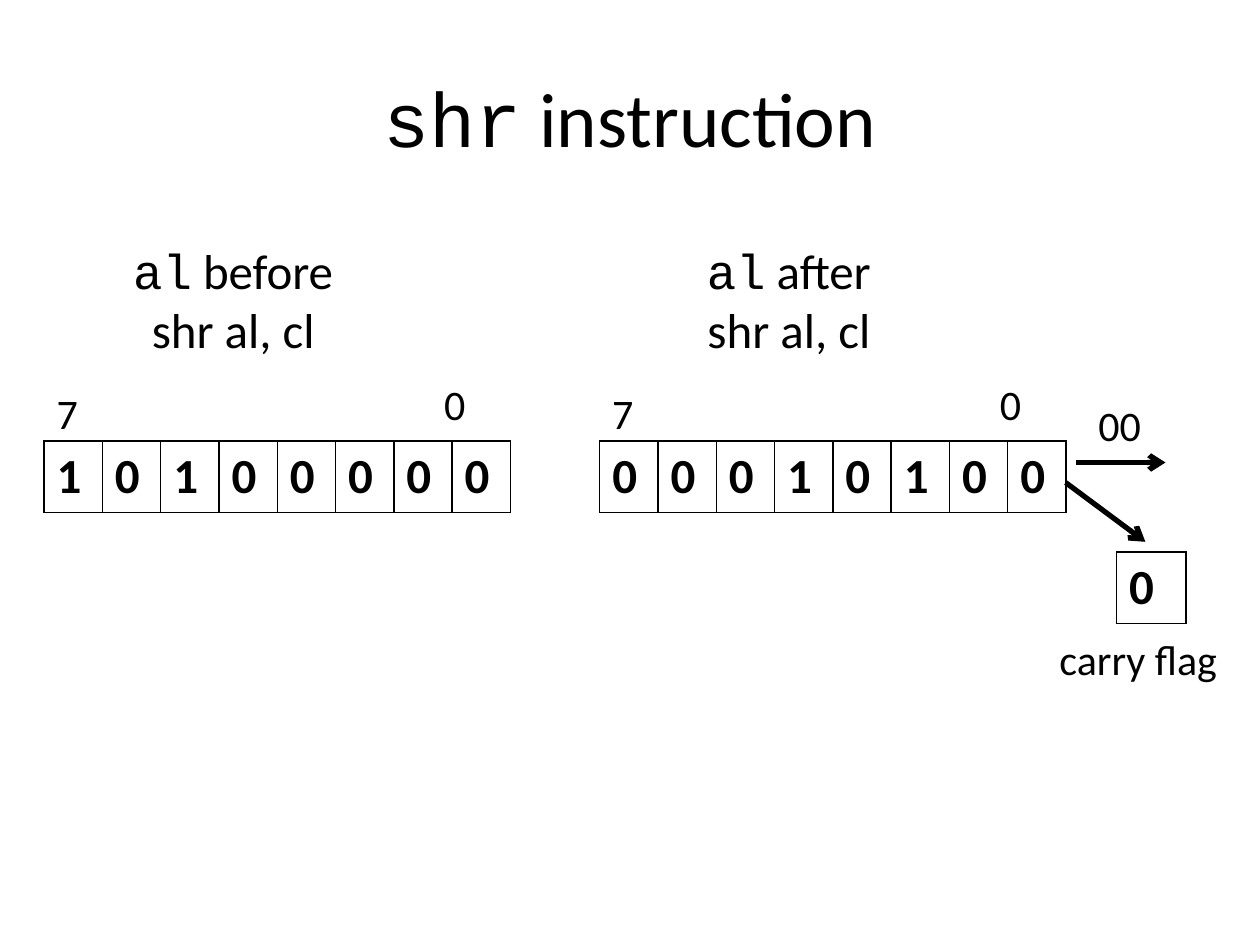
from lxml import etree
from pptx import Presentation
from pptx.dml.color import RGBColor
from pptx.enum.shapes import MSO_CONNECTOR
from pptx.enum.text import MSO_ANCHOR, PP_ALIGN
from pptx.oxml.ns import qn
from pptx.util import Pt

STRAIGHT = MSO_CONNECTOR.STRAIGHT
LEFT, CENTER = PP_ALIGN.LEFT, PP_ALIGN.CENTER
TOP, MIDDLE = MSO_ANCHOR.TOP, MSO_ANCHOR.MIDDLE

BLACK = "000000"
BODY_FONT, CODE_FONT = "Calibri", "Courier New"
BIT_WIDTH, BIT_HEIGHT = 33.33, 41
REGISTER_TOP = 252


def color(hex_string):
    return RGBColor.from_string(hex_string)


def add_run(paragraph, text, size=24, font=BODY_FONT, bold=False):
    run = paragraph.add_run()
    run.text = text
    run.font.size = Pt(size)
    run.font.name = font
    run.font.bold = bold
    run.font.color.rgb = color(BLACK)


def add_text(slide, left, top, width, height, *lines, size=24, align=LEFT, anchor=TOP):
    """Each line is a list of (text, font) pairs."""
    box = slide.shapes.add_textbox(Pt(left), Pt(top), Pt(width), Pt(height))
    frame = box.text_frame
    frame.word_wrap = True
    frame.vertical_anchor = anchor
    for index, line in enumerate(lines):
        paragraph = frame.add_paragraph() if index else frame.paragraphs[0]
        paragraph.alignment = align
        for text, font in line:
            add_run(paragraph, text, size=size, font=font)


def add_label(slide, left, top, text, width=57):
    add_text(slide, left, top, width, 36, [(text, BODY_FONT)])


def add_border(cell):
    properties = cell._tc.get_or_add_tcPr()
    for position, side in enumerate(("a:lnL", "a:lnR", "a:lnT", "a:lnB")):
        line = etree.Element(qn(side), w=str(Pt(1)))
        fill = etree.SubElement(line, qn("a:solidFill"))
        etree.SubElement(fill, qn("a:srgbClr"), val=BLACK)
        properties.insert(position, line)


def add_bits(slide, left, top, bits, bit_width=BIT_WIDTH):
    """Draw a row of bits as a one-row table."""
    frame = slide.shapes.add_table(
        1, len(bits), Pt(left), Pt(top), Pt(bit_width * len(bits)), Pt(BIT_HEIGHT))
    table = frame.table
    table.first_row = table.horz_banding = False
    for column, bit in enumerate(bits):
        table.columns[column].width = Pt(bit_width)
        cell = table.cell(0, column)
        cell.fill.background()
        add_border(cell)
        add_run(cell.text_frame.paragraphs[0], bit, size=28, bold=True)


def add_arrow(slide, x1, y1, x2, y2):
    connector = slide.shapes.add_connector(STRAIGHT, Pt(x1), Pt(y1), Pt(x2), Pt(y2))
    connector.line.color.rgb = color(BLACK)
    connector.line.width = Pt(3)
    etree.SubElement(connector.line._get_or_add_ln(), qn("a:tailEnd"), type="arrow")
    etree.SubElement(connector._element.spPr, qn("a:effectLst"))


def add_register(slide, left, moment, bits):
    """Draw the al register with its heading and bit numbers."""
    add_bits(slide, left, REGISTER_TOP, bits)
    add_label(slide, left, 218, "7")
    add_label(slide, left + 221.5, 212.5, "0")
    add_text(slide, left + 17.3, 134, 181.5, 75,
             [("al", CODE_FONT), (f" {moment}", BODY_FONT)],
             [("shr al, cl", BODY_FONT)], size=28, align=CENTER)


def main():
    presentation = Presentation()
    presentation.slide_width, presentation.slide_height = Pt(720), Pt(540)
    slide = presentation.slides.add_slide(presentation.slide_layouts[6])

    # Title
    add_text(slide, 36, 21.6, 648, 90,
             [("shr", CODE_FONT), (" instruction", BODY_FONT)],
             size=44, align=CENTER, anchor=MIDDLE)

    # Register before and after the shift
    add_register(slide, 25.2, "before", "10100000")
    add_register(slide, 342.7, "after", "00010100")

    # Bits shifted out
    add_arrow(slide, 615, 264.3, 666, 264.3)
    add_label(slide, 620.5, 224.6, "00")

    # Carry flag
    add_arrow(slide, 609, 275.8, 654.5, 309.6)
    add_bits(slide, 638, 315.4, "0", bit_width=39.6)
    add_label(slide, 598.3, 358.6, "carry flag", width=120)

    presentation.save("out.pptx")


if __name__ == "__main__":
    main()
